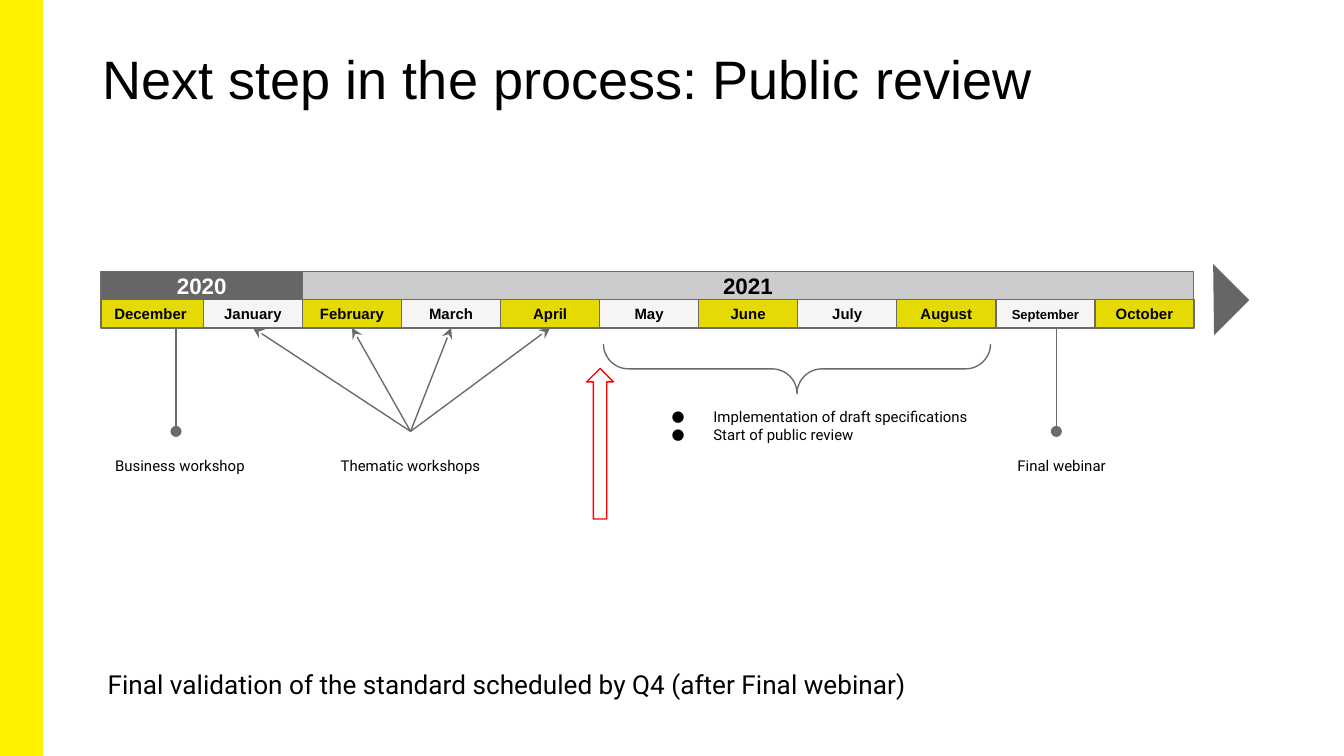
from dataclasses import dataclass

from lxml import etree
from pptx import Presentation
from pptx.dml.color import RGBColor
from pptx.enum.shapes import MSO_CONNECTOR, MSO_SHAPE
from pptx.enum.text import MSO_ANCHOR, MSO_AUTO_SIZE, PP_ALIGN
from pptx.oxml.ns import qn
from pptx.util import Inches, Pt

STRAIGHT = MSO_CONNECTOR.STRAIGHT
RECTANGLE = MSO_SHAPE.RECTANGLE
BRACE = MSO_SHAPE.RIGHT_BRACE
TRIANGLE = MSO_SHAPE.RIGHT_TRIANGLE
ARROW = MSO_SHAPE.RIGHT_ARROW
TOP, MIDDLE = MSO_ANCHOR.TOP, MSO_ANCHOR.MIDDLE
GROW = MSO_AUTO_SIZE.SHAPE_TO_FIT_TEXT
LEFT, CENTER = PP_ALIGN.LEFT, PP_ALIGN.CENTER
BOTTOM_SITE = 2

UNIT = Inches(0.1)
COLUMNS, ROWS = 100, 56.25
TIMELINE_LEFT, TIMELINE_RIGHT = 7.52, 88.8
YEAR_TOP, BAND_HEIGHT = 20.2, 2.1
MONTH_TOP = YEAR_TOP + BAND_HEIGHT
TIMELINE_BOTTOM = MONTH_TOP + BAND_HEIGHT
JANUARY_LEFT, MONTH_WIDTH = 15.14, 7.37
FEBRUARY_LEFT = JANUARY_LEFT + MONTH_WIDTH
MARKER_BOTTOM, LABEL_TOP = 32.1, 33.3
WORKSHOPS_CENTER = 30.55

BLACK, WHITE = "000000", "FFFFFF"
DARK_GRAY, LIGHT_GRAY, LINE_GRAY = "666666", "CCCCCC", "6B6B6B"
BRIGHT_YELLOW, YELLOW, OFF_WHITE, RED = "FFF200", "E5DA04", "F6F5F3", "FF0000"
MONTHS = ["December", "January", "February", "March", "April", "May",
          "June", "July", "August", "September", "October"]


@dataclass(frozen=True)
class Box:
    left: float
    top: float
    width: float
    height: float

    def lengths(self) -> list[int]:
        return [units(value) for value in (self.left, self.top, self.width, self.height)]


@dataclass(frozen=True)
class Style:
    size: float
    font: str = "Roboto"
    color: str = BLACK
    bold: bool = False
    align: PP_ALIGN = CENTER
    anchor: MSO_ANCHOR = TOP
    bullet: str = ""
    inset_x: float = 1
    inset_y: float = 1


@dataclass(frozen=True)
class Marker:
    label: str
    center: float
    label_left: float


def units(value: float) -> int:
    return round(value * UNIT)


def rgb(value: str) -> RGBColor:
    return RGBColor.from_string(value)


def add_bullet(paragraph, style: Style) -> None:
    properties = paragraph._p.get_or_add_pPr()
    properties.set("marL", str(units(5)))
    properties.set("indent", str(units(-3.1)))
    color = etree.SubElement(properties, qn("a:buClr"))
    etree.SubElement(color, qn("a:srgbClr"), val=style.color)
    etree.SubElement(properties, qn("a:buFont"), typeface=style.font)
    etree.SubElement(properties, qn("a:buChar"), char=style.bullet)


def write(shape, lines: list[str], style: Style) -> None:
    frame = shape.text_frame
    frame.word_wrap = True
    frame.vertical_anchor = style.anchor
    frame.margin_left = frame.margin_right = units(style.inset_x)
    frame.margin_top = frame.margin_bottom = units(style.inset_y)
    for index, line in enumerate(lines):
        paragraph = frame.add_paragraph() if index else frame.paragraphs[0]
        paragraph.alignment = style.align
        if style.bullet:
            add_bullet(paragraph, style)
        run = paragraph.add_run()
        run.text = line
        run.font.name = style.font
        run.font.size = Pt(style.size)
        run.font.bold = style.bold
        run.font.color.rgb = rgb(style.color)


def add_text(slide, box: Box, lines: list[str], style: Style, grow: bool = True) -> None:
    shape = slide.shapes.add_textbox(*box.lengths())
    write(shape, lines, style)
    if grow:
        shape.text_frame.auto_size = GROW


def add_shape(parent, kind: MSO_SHAPE, box: Box, fill: str = "", line: str = "",
              rotation: float = 0, weight: float = 0.75):
    shape = parent.shapes.add_shape(kind, *box.lengths())
    shape.shadow.inherit = False
    shape.rotation = rotation
    if fill:
        shape.fill.solid()
        shape.fill.fore_color.rgb = rgb(fill)
    else:
        shape.fill.background()
    if line:
        shape.line.color.rgb = rgb(line)
        shape.line.width = Pt(weight)
    else:
        shape.line.fill.background()
    return shape


def add_cell(group, box: Box, text: str, fill: str, size: float,
             color: str = BLACK, align: PP_ALIGN = CENTER):
    shape = add_shape(group, RECTANGLE, box, fill, LINE_GRAY)
    write(shape, [text], Style(size, "Arial", color, True, align, MIDDLE))
    return shape


def add_line(slide, start: float, end: float, end_tag: str, end_type: str):
    connector = slide.shapes.add_connector(
        STRAIGHT, units(start), units(TIMELINE_BOTTOM), units(end), units(MARKER_BOTTOM))
    connector.line.color.rgb = rgb(LINE_GRAY)
    connector.line.width = Pt(0.75)
    etree.SubElement(connector.line._get_or_add_ln(), qn(end_tag), type=end_type)
    etree.SubElement(connector._element.spPr, qn("a:effectLst"))
    return connector


def add_timeline(slide) -> dict:
    group = slide.shapes.add_group_shape()
    add_cell(group, Box(TIMELINE_LEFT, YEAR_TOP, FEBRUARY_LEFT - TIMELINE_LEFT, BAND_HEIGHT),
             "2020", DARK_GRAY, 12, WHITE)
    add_cell(group, Box(FEBRUARY_LEFT, YEAR_TOP, TIMELINE_RIGHT - FEBRUARY_LEFT, BAND_HEIGHT),
             "2021", LIGHT_GRAY, 12)
    cells = {}
    for index, month in enumerate(MONTHS):
        left = JANUARY_LEFT + (index - 1) * MONTH_WIDTH if index else TIMELINE_LEFT
        width = MONTH_WIDTH if index else JANUARY_LEFT - TIMELINE_LEFT
        cells[month] = add_cell(group, Box(left, MONTH_TOP, width, BAND_HEIGHT), month,
                                OFF_WHITE if index % 2 else YELLOW,
                                7 if month == "September" else 8,
                                align=CENTER if index else LEFT)
    return cells


def add_marker(slide, marker: Marker) -> None:
    add_line(slide, marker.center, marker.center, "a:tailEnd", "oval")
    add_label(slide, marker.label, marker.label_left)


def add_label(slide, text: str, left: float) -> None:
    add_text(slide, Box(left, LABEL_TOP, 12.8, 3.4), [text], Style(8))


def add_events(slide, cells: dict) -> None:
    add_marker(slide, Marker("Business workshop", 13.1, 7))
    add_label(slide, "Thematic workshops", 24.15)
    for month in MONTHS[1:5]:
        connector = add_line(slide, WORKSHOPS_CENTER, WORKSHOPS_CENTER, "a:headEnd", "stealth")
        connector.begin_connect(cells[month], BOTTOM_SITE)
    brace = add_shape(slide, BRACE, Box(57.45, 13.05, 3.7, 28.8), line=LINE_GRAY, rotation=90)
    brace.adjustments[0] = 0.5
    brace.adjustments[1] = 0.5
    add_text(slide, Box(47.1, 29.35, 26.6, 4.7),
             ["Implementation of draft specifications", "Start of public review"],
             Style(8, align=LEFT, bullet="●"))
    add_marker(slide, Marker("Final webinar", 78.6, 72.6))
    add_shape(slide, TRIANGLE, Box(88.4, 20.45, 3.8, 3.7), DARK_GRAY, rotation=225)


def main() -> None:
    presentation = Presentation()
    presentation.slide_width = units(COLUMNS)
    presentation.slide_height = units(ROWS)
    slide = presentation.slides.add_slide(presentation.slide_layouts[6])
    add_shape(slide, RECTANGLE, Box(0, 0, 3.1, ROWS), BRIGHT_YELLOW, BRIGHT_YELLOW, weight=1)
    add_text(slide, Box(6.9, 3, 90.3, 8.1), ["Next step in the process: Public review"],
             Style(29, "Arial", align=LEFT, inset_x=0.7, inset_y=0.4), grow=False)
    add_events(slide, add_timeline(slide))
    add_text(slide, Box(7.02, 48.75, 80.9, 4.4),
             ["Final validation of the standard scheduled by Q4 (after Final webinar)"],
             Style(14, align=LEFT))
    add_shape(slide, ARROW, Box(39.05, 32.02, 11.2, 2), WHITE, RED, rotation=270)
    presentation.save("out.pptx")


if __name__ == "__main__":
    main()
